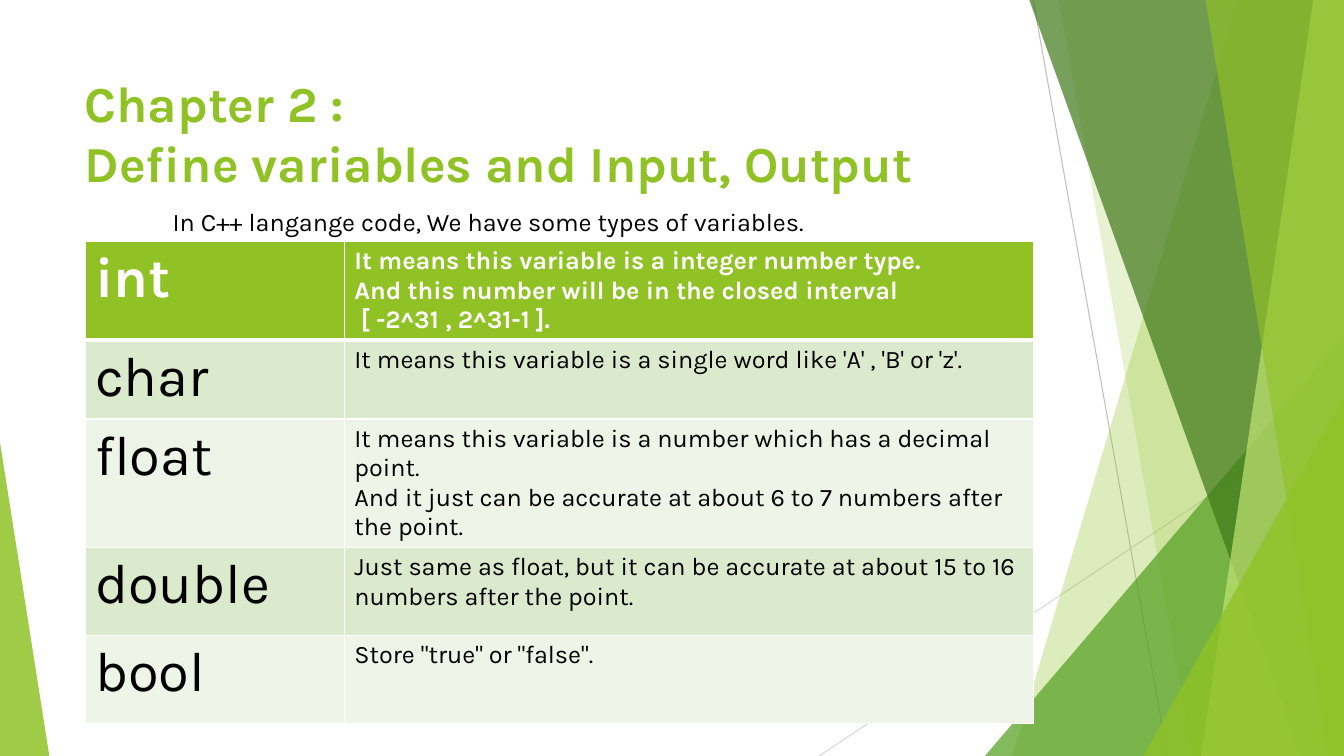
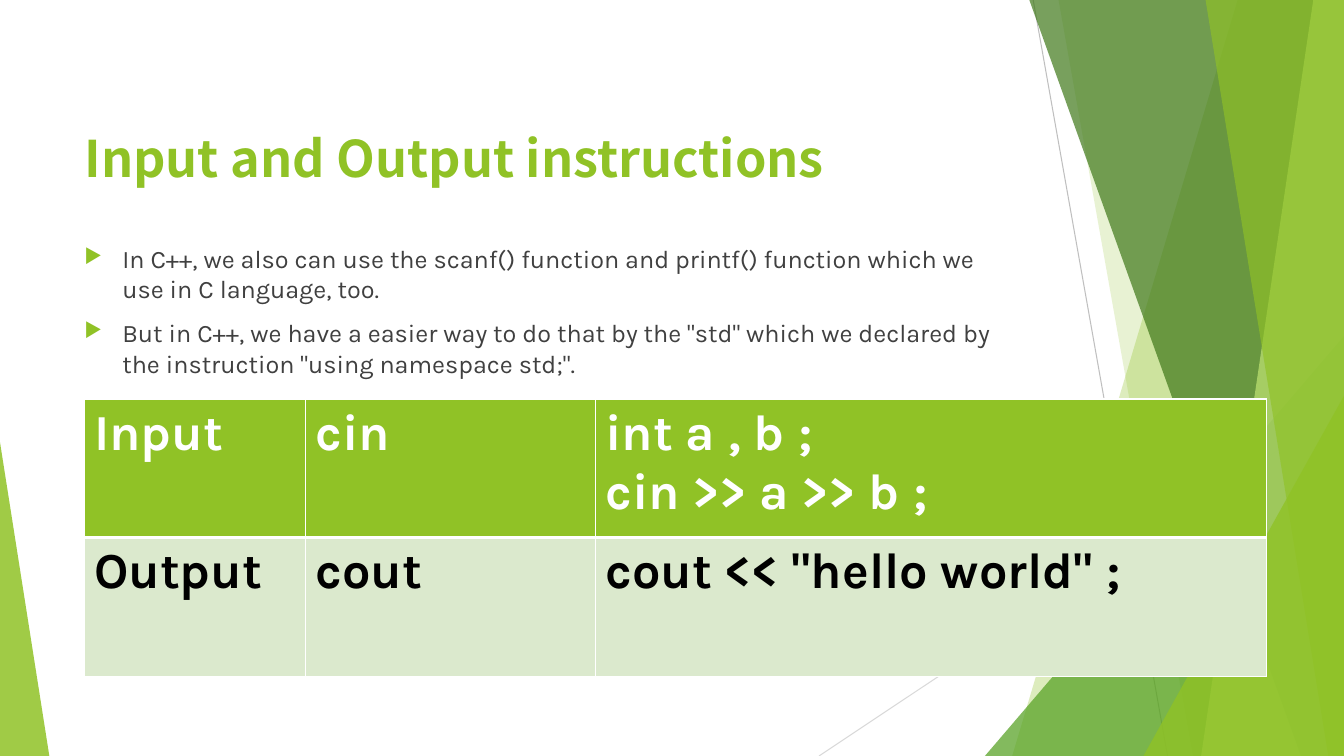
from lxml.etree import SubElement
from pptx import Presentation
from pptx.dml.color import RGBColor
from pptx.enum.shapes import MSO_CONNECTOR, MSO_SHAPE
from pptx.enum.text import MSO_ANCHOR, MSO_AUTO_SIZE
from pptx.oxml.ns import qn
from pptx.util import Pt

PX = 9525
WIDTH, HEIGHT = 1280, 720

LIME, GREEN, DARK_GREEN, PALE_LIME = "90C226", "54A021", "3F7819", "C0E474"
BLACK, WHITE, GREY = "000000", "FFFFFF", "404040"
BANDS = ["DBE9CD", "EEF4E8"]
KARLA, NOTO = "Karla", "Noto Sans CJK TC"

# Background rays: top x, bottom x, colour, opacity in percent
LOWER_RAYS = [(1179, 964, LIME, 30), (1008, 1136, LIME, 20)]
UPPER_RAYS = [(980, 1239, DARK_GREEN, 70), (1251, 1144, PALE_LIME, 70),
              (1148, 1265, LIME, 65)]


def color(hex_string):
    return RGBColor.from_string(hex_string)


def px(*lengths):
    return [n * PX for n in lengths]


class Deck:
    def __init__(self):
        self.prs = Presentation()
        self.prs.slide_width, self.prs.slide_height = px(WIDTH, HEIGHT)
        self.s = None

    def slide(self):
        self.s = self.prs.slides.add_slide(self.prs.slide_layouts[6])
        self.line(984, 0, 1112, HEIGHT, "BFBFBF")
        self.line(WIDTH, 387, 780, HEIGHT, "D9D9D9")
        for ray in LOWER_RAYS:
            self.ray(*ray)
        self.triangle(938, 320, 342, 400, 1, GREEN, 72)
        for ray in UPPER_RAYS:
            self.ray(*ray)
        self.triangle(1089, 377, 191, 343, 1, LIME, 80)
        self.triangle(0, 421, 47, 299, 0, LIME, 85)

    def line(self, x1, y1, x2, y2, line_color):
        c = self.s.shapes.add_connector(MSO_CONNECTOR.STRAIGHT, *px(x1, y1, x2, y2))
        c.line.color.rgb = color(line_color)
        c.line.width = Pt(0.75)
        SubElement(c._element.spPr, qn("a:effectLst"))

    def paint(self, sp, fill, opacity):
        sp.shadow.inherit = False
        sp.fill.solid()
        sp.fill.fore_color.rgb = color(fill)
        sp.line.fill.background()
        clr = sp._element.spPr.find(qn("a:solidFill")).find(qn("a:srgbClr"))
        SubElement(clr, qn("a:alpha"), val=str(opacity * 1000))

    def ray(self, top_x, bottom_x, fill, opacity):
        """Fill from a slanted left edge to the right edge of the slide."""
        ff = self.s.shapes.build_freeform(top_x, -1, scale=PX)
        ff.add_line_segments([(WIDTH, -1), (WIDTH, HEIGHT), (bottom_x, HEIGHT)])
        self.paint(ff.convert_to_shape(), fill, opacity)

    def triangle(self, x, y, w, h, apex, fill, opacity):
        sp = self.s.shapes.add_shape(MSO_SHAPE.ISOSCELES_TRIANGLE, *px(x, y, w, h))
        sp.adjustments[0] = apex
        self.paint(sp, fill, opacity)

    def style(self, tf, size, text_color, bold=False, font=KARLA):
        for p in tf.paragraphs:
            for r in p.runs:
                r.font.name = font
                r.font.size = Pt(size)
                r.font.bold = bold
                r.font.color.rgb = color(text_color)

    def text(self, x, y, w, h, text, size, text_color, bold=False, font=KARLA,
             fit=MSO_AUTO_SIZE.NONE):
        tf = self.s.shapes.add_textbox(*px(x, y, w, h)).text_frame
        tf.word_wrap = True
        tf.auto_size = fit
        tf.vertical_anchor = MSO_ANCHOR.TOP
        tf.text = text
        self.style(tf, size, text_color, bold, font)
        return tf

    def title(self, y, h, text, font=KARLA):
        self.text(71, y, 902, h, text, 36, LIME, True, font,
                  MSO_AUTO_SIZE.TEXT_TO_FIT_SHAPE)

    def bullets(self, x, y, w, h, items):
        tf = self.text(x, y, w, h, "\n".join(items), 18, GREY)
        for i, p in enumerate(tf.paragraphs):
            pPr = p._p.get_or_add_pPr()
            pPr.set("marL", str(36 * PX))
            pPr.set("indent", str(-36 * PX))
            SubElement(SubElement(pPr, qn("a:buClr")), qn("a:srgbClr"), val=LIME)
            SubElement(pPr, qn("a:buSzPct"), val="80000")
            SubElement(pPr, qn("a:buChar"), char="▶")
            p.space_before = Pt(10 if i else 0)

    def borders(self, cell, row):
        """White grid, thicker below the header row."""
        tcPr = cell._tc.get_or_add_tcPr()
        widths = {"L": 1, "R": 1, "T": 3 if row == 1 else 1, "B": 1 if row else 3}
        for side, width in widths.items():
            ln = SubElement(tcPr, qn(f"a:ln{side}"), w=str(Pt(width)))
            SubElement(SubElement(ln, qn("a:solidFill")), qn("a:srgbClr"), val=WHITE)

    def table(self, x, y, cols, rows, cells, sizes, bold_body=False):
        """Sizes holds the text size of each column."""
        frame = self.s.shapes.add_table(len(rows), len(cols),
                                        *px(x, y, sum(cols), sum(rows)))
        t = frame.table
        for column, w in zip(t.columns, cols):
            column.width = w * PX
        for i, (row, h) in enumerate(zip(t.rows, rows)):
            row.height = h * PX
            for cell, text, size in zip(row.cells, cells[i], sizes):
                cell.text_frame.text = text
                self.style(cell.text_frame, size, BLACK if i else WHITE,
                           bold_body or i == 0)
                self.borders(cell, i)
                cell.fill.solid()
                cell.fill.fore_color.rgb = color(BANDS[(i - 1) % 2] if i else LIME)


def main():
    deck = Deck()

    deck.slide()
    deck.title(64, 139, "Chapter 2 :\vDefine variables and Input, Output")
    deck.table(81, 230, [247, 656], [84, 75, 84, 84, 84], [
        ("int", "It means this variable is a integer number type.\n"
                "And this number will be in the closed interval\n"
                " [ -2^31 , 2^31-1 ]."),
        ("char", "It means this variable is a single word like 'A' , 'B' or 'z'."),
        ("float", "It means this variable is a number which has a decimal point.\n"
                  "And it just can be accurate at about 6 to 7 numbers after "
                  "the point."),
        ("double", "Just same as float, but it can be accurate at about 15 to "
                   "16 numbers after the point."),
        ("bool", 'Store "true" or "false".'),
    ], [40, 18])
    deck.text(155, 192, 908, 38,
              "In C++ langange code, We have some types of variables.",
              18, BLACK, fit=MSO_AUTO_SIZE.SHAPE_TO_FIT_TEXT)

    deck.slide()
    deck.title(116, 71, "Input and Output instructions", NOTO)
    deck.bullets(71, 227, 902, 407, [
        "In C++, we also can use the scanf() function and printf() function "
        "which we use in C language, too.",
        'But in C++, we have a easier way to do that by the "std" which we '
        'declared by the instruction "using namespace std;".',
    ])
    deck.table(80, 380, [211, 276, 639], [132, 132], [
        ("Input", "cin", "int a , b ;\ncin >> a >> b ;"),
        ("Output", "cout", 'cout << "hello world" ;'),
    ], [36, 36, 36], bold_body=True)

    deck.prs.save("out.pptx")


if __name__ == "__main__":
    main()
